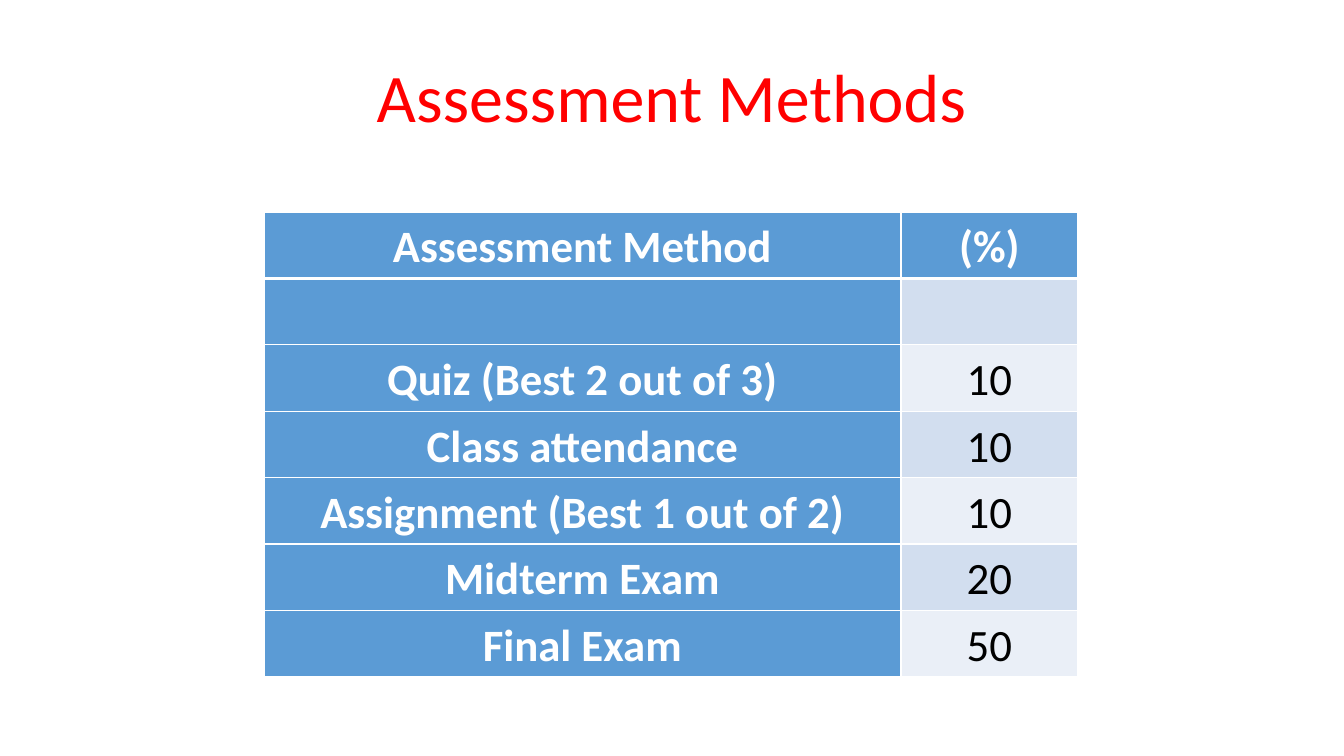
from lxml.etree import SubElement
from pptx import Presentation
from pptx.dml.color import RGBColor
from pptx.enum.text import MSO_ANCHOR as Anchor, PP_ALIGN as Align
from pptx.oxml.ns import qn
from pptx.util import Emu, Pt

PIXEL = 914400 / 100.8
RED = RGBColor(0xFF, 0x00, 0x00)
WHITE = RGBColor(0xFF, 0xFF, 0xFF)
BLACK = RGBColor(0x00, 0x00, 0x00)
BLUE = RGBColor(0x5B, 0x9B, 0xD5)
BANDS = RGBColor(0xEA, 0xEF, 0xF7), RGBColor(0xD2, 0xDE, 0xEF)

ASSESSMENTS = [
    ("Assessment Method", "(%)"),
    ("", ""),
    ("Quiz (Best 2 out of 3)", "10"),
    ("Class attendance", "10"),
    ("Assignment (Best 1 out of 2)", "10"),
    ("Midterm Exam", "20"),
    ("Final Exam", "50"),
]


def px(pixels):
    """Turn pixels into EMU."""
    return Emu(round(pixels * PIXEL))


def set_format(target, values):
    """Set each attribute of the target from a dict."""
    for name, value in values.items():
        setattr(target, name, value)


def write(frame, text, spacing, color, font):
    """Write one centred line of text into a frame."""
    para = frame.paragraphs[0]
    set_format(para, {"alignment": Align.CENTER, "line_spacing": spacing})
    span = para.add_run()
    span.text = text
    set_format(span.font, {"name": "Calibri", **font})
    span.font.color.rgb = color


def add_borders(cell, widths):
    """Draw white borders of the given point widths around a cell."""
    properties = cell._tc.get_or_add_tcPr()
    for side, width in widths.items():
        line = SubElement(properties, qn(f"a:ln{side}"), w=str(Pt(width)))
        fill = SubElement(line, qn("a:solidFill"))
        SubElement(fill, qn("a:srgbClr"), val=str(WHITE))


def add_title(page, left, top, width, height):
    """Place the red slide title."""
    box = page.shapes.add_textbox(px(left), px(top), px(width), px(height))
    frame = box.text_frame
    set_format(frame, {"word_wrap": True, "vertical_anchor": Anchor.BOTTOM})
    write(frame, "Assessment Methods", 0.9, RED, {"size": Pt(48.6)})


def add_assessment_table(page, left, top, width, height):
    """Place the table of assessment methods and their percentages."""
    table = page.shapes.add_table(
        len(ASSESSMENTS), 2, px(left), px(top), px(width), px(height)
    ).table
    method_width = 637
    table.columns[0].width = px(method_width)
    table.columns[1].width = px(width - method_width)
    margins = {"margin_left": px(7), "margin_right": px(7),
               "margin_top": 0, "margin_bottom": 0}
    for row, texts in enumerate(ASSESSMENTS):
        table.rows[row].height = px(height / len(ASSESSMENTS))
        for column, text in enumerate(texts):
            cell = table.cell(row, column)
            heading = row == 0 or column == 0
            set_format(cell, margins)
            add_borders(cell, {"L": 1, "R": 1,
                               "T": 3 if row == 1 else 1,
                               "B": 3 if row == 0 else 1})
            cell.fill.solid()
            cell.fill.fore_color.rgb = BLUE if heading else BANDS[row % 2]
            if text:
                write(cell.text_frame, text, 1.15, WHITE if heading else BLACK,
                      {"size": Pt(32), "bold": heading})


def main():
    """Build and save the deck."""
    deck = Presentation()
    set_format(deck, {"slide_width": px(1344), "slide_height": px(756)})
    page = deck.slides.add_slide(deck.slide_layouts[6])
    add_title(page, 92, 56, 1159, 86)
    add_assessment_table(page, 264, 212, 814, 465)
    deck.save("out.pptx")


main()
